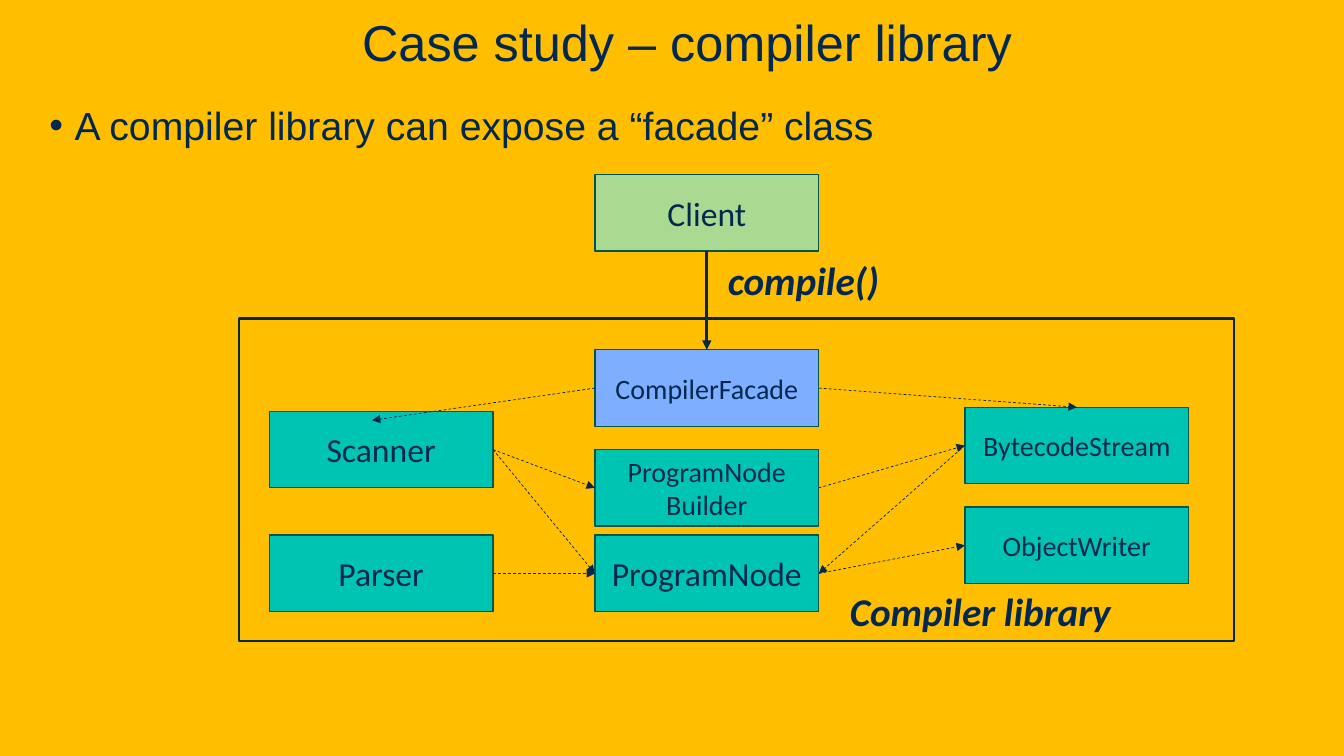
"""Builds the slide on the facade class of a compiler library."""
import pptx
import pptx.dml.color
import pptx.enum.dml
import pptx.enum.shapes
import pptx.enum.text
import pptx.oxml
import pptx.oxml.ns
import pptx.util

Inches = pptx.util.Inches
Pt = pptx.util.Pt
ALIGN = pptx.enum.text.PP_ALIGN
ANCHOR = pptx.enum.text.MSO_ANCHOR
RECT = pptx.enum.shapes.MSO_SHAPE.RECTANGLE
TOP, LEFT, BOTTOM, RIGHT = range(4)
COLORS = {"back": "FFBE00", "ink": "022850", "edge": "00564E",
          "client": "AADA91", "facade": "7DAEFF", "part": "00C4B2"}
BOX_W, BOX_H = 2.22, 0.76
LEFT_X, MID_X, RIGHT_X = 2.67, 5.9, 9.57


def color(name):
    return pptx.dml.color.RGBColor.from_string(COLORS[name])


def make(tag, **attrs):
    el = pptx.oxml.parse_xml(f"<{tag} {pptx.oxml.ns.nsdecls('a')}/>")
    for key, value in attrs.items():
        el.set(key, value)
    return el


def place(sp, x, y, w, h):
    sp.left, sp.top, sp.width, sp.height = map(Inches, (x, y, w, h))


def add_run(p, text, size, font, emphasis=False):
    r = p.add_run()
    r.text = text
    r.font.size = Pt(size)
    r.font.name = font
    r.font.color.rgb = color("ink")
    r.font.bold = r.font.italic = emphasis


def fill_placeholder(sp, frame, text, size, anchor, align, indent):
    place(sp, *frame)
    tf = sp.text_frame
    tf.auto_size = pptx.enum.text.MSO_AUTO_SIZE.NONE
    tf.vertical_anchor = anchor
    p = tf.paragraphs[0]
    p.alignment = align
    p.space_before = Pt(0)
    pPr = p._p.get_or_add_pPr()
    for key, value in zip(("marL", "indent"), indent):
        pPr.set(key, str(Inches(value)))
    add_run(p, text, size, "Arial")
    return p


def add_rect(s, x, y, w, h, fill, line, width):
    sp = s.shapes.add_shape(RECT, *map(Inches, (x, y, w, h)))
    sp.shadow.inherit = False
    if fill:
        sp.fill.solid()
        sp.fill.fore_color.rgb = color(fill)
    else:
        sp.fill.background()
    sp.line.color.rgb = color(line)
    sp.line.width = Pt(width)
    return sp


def add_box(s, x, y, lines, size, fill="part"):
    sp = add_rect(s, x, y, BOX_W, BOX_H, fill, "edge", 1)
    tf = sp.text_frame
    tf.vertical_anchor = ANCHOR.MIDDLE
    for i, text in enumerate(lines):
        p = tf.add_paragraph() if i else tf.paragraphs[0]
        p.alignment = ALIGN.CENTER
        add_run(p, text, size, "Calibri")
    return sp


def add_label(s, x, y, w, text):
    sp = s.shapes.add_textbox(*map(Inches, (x, y, w, 0.57)))
    sp.text_frame.word_wrap = False
    add_run(sp.text_frame.paragraphs[0], text, 28, "Calibri", True)


def add_arrow(s, start, side, end, end_side=None, width=0.5, dashed=True):
    """Join two box sides, or a box side and a free (x, y) point."""
    c = s.shapes.add_connector(pptx.enum.shapes.MSO_CONNECTOR.STRAIGHT, 0, 0, 0, 0)
    c.begin_connect(start, side)
    if end_side is None:
        c.end_x, c.end_y = map(Inches, end)
    else:
        c.end_connect(end, end_side)
    c.line.color.rgb = color("ink")
    c.line.width = Pt(width)
    if dashed:
        c.line.dash_style = pptx.enum.dml.MSO_LINE.DASH
    c.line._get_or_add_ln().append(make("a:tailEnd", type="triangle"))
    c._element.spPr.append(make("a:effectLst"))


def main():
    prs = pptx.Presentation()
    prs.slide_width, prs.slide_height = Inches(13.33), Inches(7.5)
    s = prs.slides.add_slide(prs.slide_layouts[1])
    s.background.fill.solid()
    s.background.fill.fore_color.rgb = color("back")

    fill_placeholder(s.shapes.title, (0, 0, 13.33, 0.76),
                     "Case study – compiler library", 36,
                     ANCHOR.BOTTOM, ALIGN.CENTER, (0.3, 0))
    p = fill_placeholder(s.placeholders[1], (0.39, 0.86, 12.52, 5.71),
                         "A compiler library can expose a “facade” class", 28,
                         ANCHOR.TOP, ALIGN.LEFT, (0.25, -0.25))
    p._p.get_or_add_pPr().append(make("a:buChar", char="•"))
    p.line_spacing = 1.2
    p.space_after = Pt(6)

    client = add_box(s, MID_X, 1.73, ["Client"], 24, "client")
    facade = add_box(s, MID_X, 3.47, ["CompilerFacade"], 20, "facade")
    scanner = add_box(s, LEFT_X, 4.08, ["Scanner"], 24)
    parser = add_box(s, LEFT_X, 5.31, ["Parser"], 24)
    node = add_box(s, MID_X, 5.31, ["ProgramNode"], 24)
    stream = add_box(s, RIGHT_X, 4.04, ["BytecodeStream"], 20)
    builder = add_box(s, MID_X, 4.46, ["ProgramNode", "Builder"], 20)
    writer = add_box(s, RIGHT_X, 5.03, ["ObjectWriter"], 20)
    add_rect(s, 2.37, 3.16, 9.87, 3.2, None, "ink", 2)
    add_label(s, 8.33, 5.78, 2.82, "Compiler library")
    add_label(s, 7.12, 2.49, 1.72, "compile()")

    add_arrow(s, client, BOTTOM, facade, TOP, 2.25, False)
    for start, side, end, end_side in (
            (scanner, RIGHT, builder, LEFT), (scanner, RIGHT, node, LEFT),
            (parser, RIGHT, node, LEFT), (builder, RIGHT, stream, LEFT),
            (stream, LEFT, node, RIGHT), (node, RIGHT, writer, LEFT),
            (facade, LEFT, (3.69, 4.17), None), (facade, RIGHT, stream, TOP)):
        add_arrow(s, start, side, end, end_side)
    prs.save("out.pptx")


if __name__ == "__main__":
    main()
